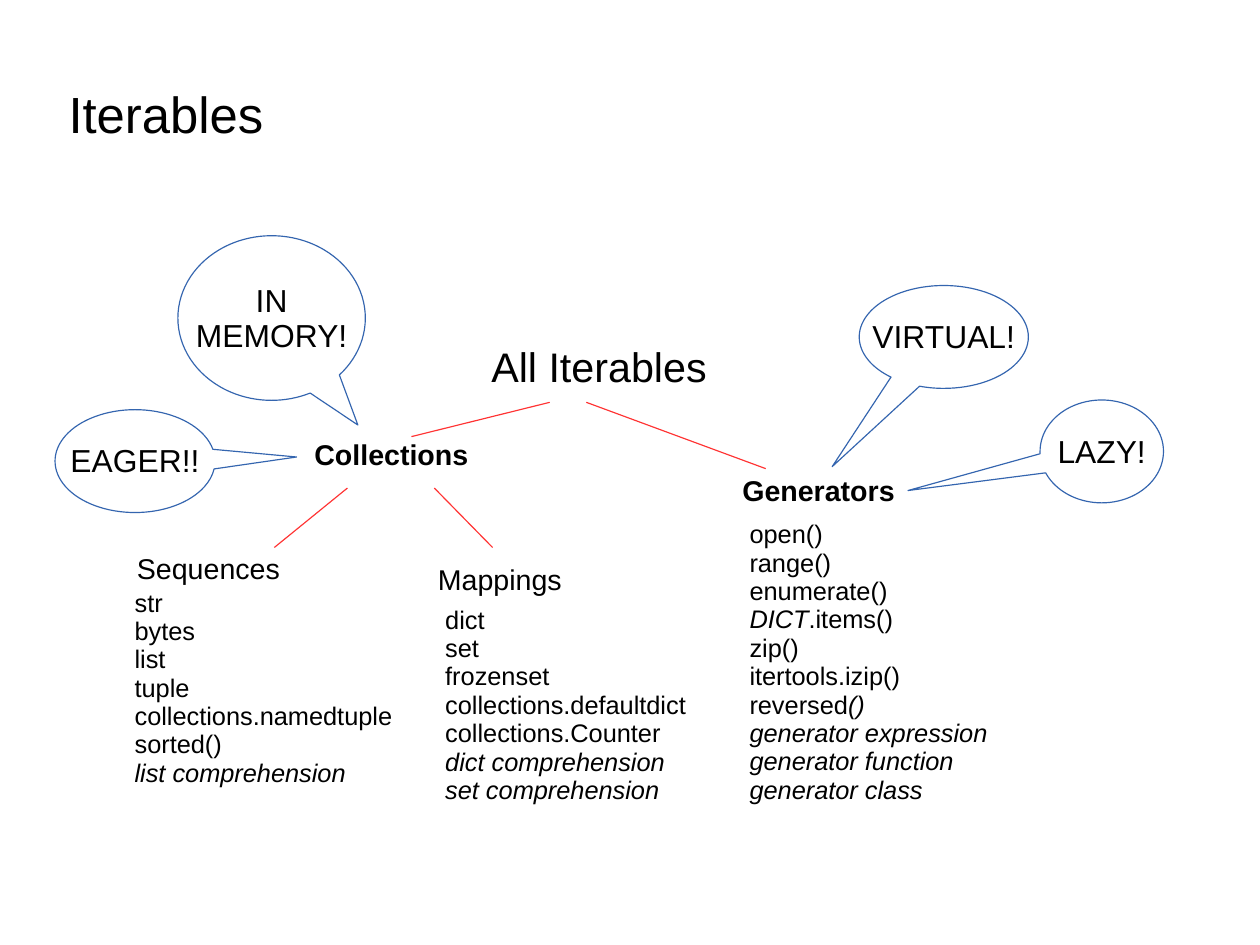
import copy
from dataclasses import dataclass
from typing import Any

import pptx
import pptx.dml.color
import pptx.enum.shapes
import pptx.enum.text
import pptx.oxml.ns
import pptx.util
from lxml import etree

Pt = pptx.util.Pt
ANCHOR = pptx.enum.text.MSO_ANCHOR
ALIGN = pptx.enum.text.PP_ALIGN
COLORS = {"text": "000000", "branch": "FF3333", "callout": "3465AF"}
LINE_WIDTH = 0.75


@dataclass(frozen=True)
class Run:
    text: str
    italic: bool = False


@dataclass(frozen=True)
class Label:
    text: str
    box: tuple[float, float, float, float]
    size: float = 18
    bold: bool = False


@dataclass(frozen=True)
class Listing:
    paragraphs: list[list[Run]]
    box: tuple[float, float, float, float]


@dataclass(frozen=True)
class Branch:
    start: tuple[float, float]
    end: tuple[float, float]


@dataclass(frozen=True)
class Callout:
    text: str
    box: tuple[float, float, float, float]
    tip: tuple[float, float]


def plain(*texts: str) -> list[list[Run]]:
    return [[Run(text)] for text in texts]


def italic(*texts: str) -> list[list[Run]]:
    return [[Run(text, True)] for text in texts]


TITLE = Label("Iterables", (43.2, 43.92, 566.64, 56.88), 32)
LABELS = [
    Label("All Iterables", (302.4, 212.6, 169.2, 43.2), 26),
    Label("Collections", (191, 272.16, 136.8, 43.2), bold=True),
    Label("Generators", (460.6, 295, 150.48, 43.2), bold=True),
    Label("Mappings", (268.8, 350.64, 141.84, 41.04)),
    Label("Sequences", (79.2, 343.9, 141.84, 43.2)),
]
LISTINGS = [
    Listing(
        plain("open()", "range()\nenumerate()")
        + [[Run("DICT", True), Run(".items()")]]
        + plain("zip()", "itertools.izip()")
        + [[Run("reversed"), Run("()\ngenerator expression\ngenerator function", True)]]
        + italic("generator class"),
        (465.12, 324, 182.88, 185.76),
    ),
    Listing(
        plain("str", "bytes\nlist")
        + [[Run("tuple\ncollections.namedtuple\nsorted()\n"),
            Run("list comprehension", True)]],
        (77.76, 367, 182.88, 177.84),
    ),
    Listing(
        plain("dict\nset", "frozenset", "collections.defaultdict", "collections.Counter")
        + italic("dict comprehension", "set comprehension"),
        (273.4, 377.8, 178.56, 132.48),
    ),
]
BRANCHES = [
    Branch((346.32, 253.44), (259.2, 275.04)),
    Branch((369.36, 253.44), (482.4, 295.2)),
    Branch((218.88, 307.44), (172.8, 344.88)),
    Branch((273.6, 307.44), (310.32, 344.88)),
]
CALLOUTS = [
    Callout("LAZY!", (655.2, 252, 77.76, 64.8), (-1.57, 0.38)),
    Callout("IN\nMEMORY!", (112.1, 148.5, 118.08, 103.68), (0.46, 0.65)),
    Callout("VIRTUAL!", (541.3, 179.9, 106.56, 64.8), (-0.66, 1.26)),
    Callout("EAGER!!", (34.7, 258.1, 100.8, 64.8), (1.01, -0.04)),
]


def rgb(name: str) -> pptx.dml.color.RGBColor:
    return pptx.dml.color.RGBColor.from_string(COLORS[name])


def apply_format(target: Any, values: dict[str, Any]) -> None:
    for attribute, value in values.items():
        setattr(target, attribute, value)


def add_run(paragraph: Any, part: Run, size: float, bold: bool) -> None:
    """Add the text, with line breaks that keep the size of the text around them."""
    for index, piece in enumerate(part.text.split("\n")):
        if index:
            paragraph.add_line_break()
            line_break = paragraph._p[-1]
            line_break.append(copy.deepcopy(run.font._element))
        if piece:
            run = paragraph.add_run()
            run.text = piece
            apply_format(run.font, {"name": "Arial", "size": Pt(size),
                                    "bold": bold, "italic": part.italic})
            run.font.color.rgb = rgb("text")


def write_text(shape: Any, paragraphs: list[list[Run]], size: float, bold: bool = False,
               insets: tuple[float, float, float, float] = (7.2, 5.04, 7.2, 3.6),
               anchor: Any = ANCHOR.TOP, align: Any = ALIGN.LEFT, wrap: bool = True) -> None:
    """Fill the shape with the paragraphs; insets are left, top, right, bottom."""
    frame = shape.text_frame
    left, top, right, bottom = map(Pt, insets)
    apply_format(frame, {
        "margin_left": left, "margin_top": top, "margin_right": right,
        "margin_bottom": bottom, "vertical_anchor": anchor, "word_wrap": wrap,
    })
    for index, parts in enumerate(paragraphs):
        paragraph = frame.add_paragraph() if index else frame.paragraphs[0]
        apply_format(paragraph, {"alignment": align, "line_spacing": 0.93})
        for part in parts:
            add_run(paragraph, part, size, bold)


def draw_label(slide: Any, label: Label, **layout: Any) -> None:
    shape = slide.shapes.add_textbox(*map(Pt, label.box))
    write_text(shape, plain(label.text), label.size, label.bold, **layout)


def draw_listing(slide: Any, listing: Listing) -> None:
    shape = slide.shapes.add_textbox(*map(Pt, listing.box))
    write_text(shape, listing.paragraphs, 16, insets=(7.2, 4.32, 7.2, 3.6))


def draw_branch(slide: Any, branch: Branch) -> None:
    connector = slide.shapes.add_connector(
        pptx.enum.shapes.MSO_CONNECTOR.STRAIGHT, *map(Pt, branch.start + branch.end))
    connector.line.color.rgb = rgb("branch")
    connector.line.width = Pt(LINE_WIDTH)
    etree.SubElement(connector._element.spPr, pptx.oxml.ns.qn("a:effectLst"))


def draw_callout(slide: Any, callout: Callout) -> None:
    bubble = slide.shapes.add_shape(
        pptx.enum.shapes.MSO_SHAPE.OVAL_CALLOUT, *map(Pt, callout.box))
    for index, offset in enumerate(callout.tip):
        bubble.adjustments[index] = offset
    bubble.shadow.inherit = False
    bubble.fill.background()
    bubble.line.color.rgb = rgb("callout")
    bubble.line.width = Pt(LINE_WIDTH)
    write_text(bubble, plain(callout.text), 20, anchor=ANCHOR.MIDDLE,
               align=ALIGN.CENTER, wrap=False)


def main() -> None:
    deck = pptx.Presentation()
    deck.slide_width, deck.slide_height = Pt(793.75), Pt(595.25)
    slide = deck.slides.add_slide(deck.slide_layouts[6])
    draw_label(slide, TITLE, insets=(0, 2.16, 0, 0), anchor=ANCHOR.MIDDLE)
    for label in LABELS:
        draw_label(slide, label)
    for listing in LISTINGS:
        draw_listing(slide, listing)
    for branch in BRANCHES:
        draw_branch(slide, branch)
    for callout in CALLOUTS:
        draw_callout(slide, callout)
    deck.save("out.pptx")


if __name__ == "__main__":
    main()
